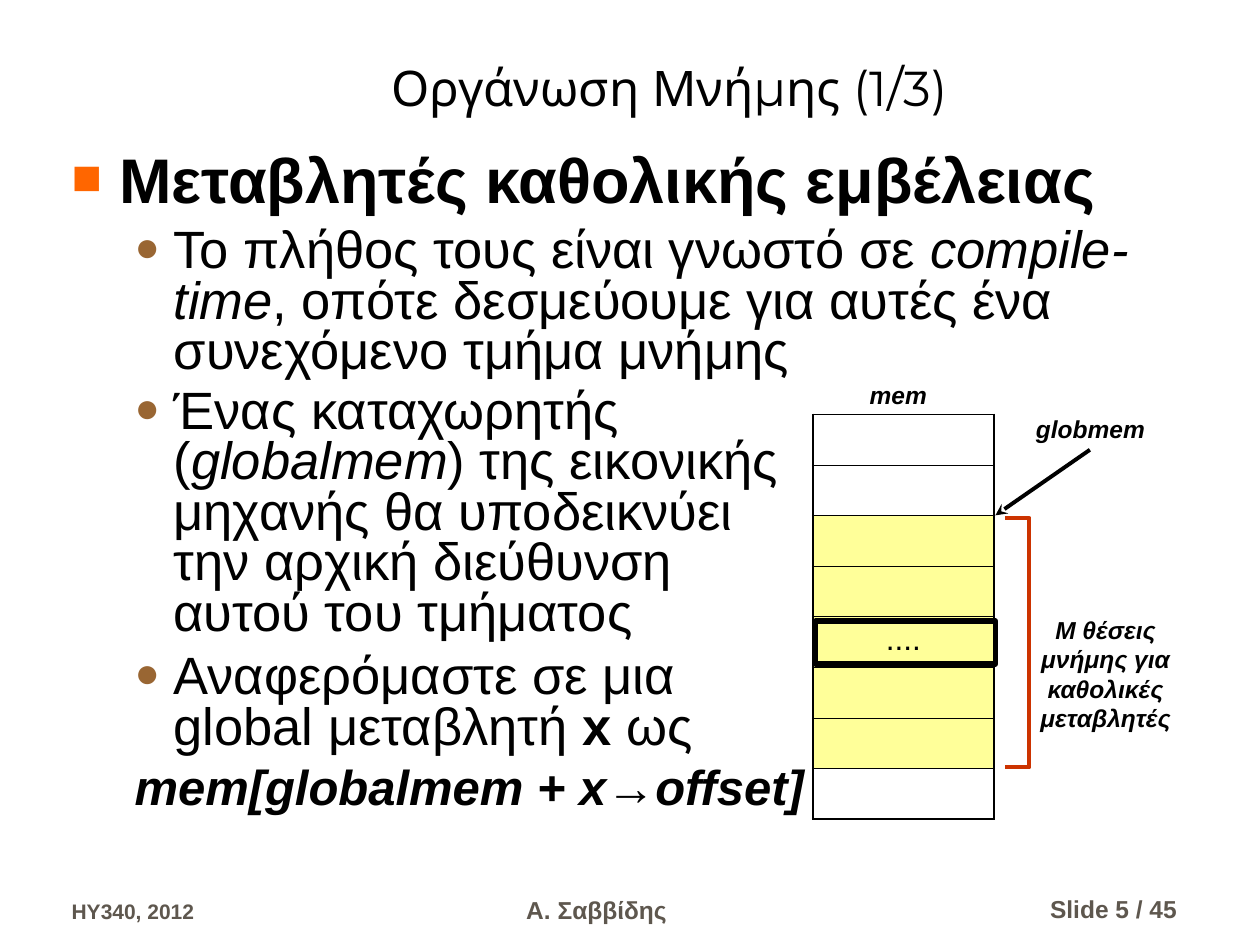
from dataclasses import dataclass

from lxml import etree
from pptx import Presentation
from pptx.dml.color import RGBColor
from pptx.enum.shapes import MSO_CONNECTOR, MSO_SHAPE
from pptx.enum.text import MSO_ANCHOR, PP_ALIGN
from pptx.oxml.ns import qn
from pptx.util import Inches, Pt

LEFT, CENTER, RIGHT = PP_ALIGN.LEFT, PP_ALIGN.CENTER, PP_ALIGN.RIGHT
TOP, BOTTOM = MSO_ANCHOR.TOP, MSO_ANCHOR.BOTTOM
STRAIGHT, RECTANGLE = MSO_CONNECTOR.STRAIGHT, MSO_SHAPE.RECTANGLE


@dataclass(frozen=True)
class Theme:
    """Colours, fonts and type sizes of the slide."""
    ink: str = "000000"
    paper: str = "FFFFFF"
    muted: str = "5E574E"
    cell: str = "FFFF99"
    bracket: str = "CC3300"
    square: str = "FF6600"
    dot: str = "996633"
    font: str = "Arial"
    title_font: str = "Montserrat"
    title: int = 28
    heading: int = 36
    body: int = 30
    code: int = 28
    dots: int = 18
    label: int = 14
    small: int = 12


THEME = Theme()


def add_run(p, text, size, color=THEME.ink, font=THEME.font, bold=False, italic=False):
    """Append one formatted run to a paragraph."""
    r = p.add_run()
    r.text = text
    r.font.size = Pt(size)
    r.font.name = font
    r.font.bold = bold
    r.font.italic = italic
    r.font.color.rgb = RGBColor.from_string(color)


def add_box(s, x, y, w, h, anchor=TOP, wrap=True):
    """Add an empty text box and return its text frame."""
    tf = s.shapes.add_textbox(Inches(x), Inches(y), Inches(w), Inches(h)).text_frame
    tf.word_wrap = wrap
    tf.vertical_anchor = anchor
    return tf


def add_label(s, box, text, size, align=CENTER, anchor=TOP, wrap=True, **style):
    """Add a text box holding a single run."""
    p = add_box(s, *box, anchor, wrap).paragraphs[0]
    p.alignment = align
    add_run(p, text, size, **style)


def set_bullet(p, char, color, margin, indent):
    """Give a paragraph a hanging indent and an optional coloured bullet."""
    pPr = p._p.get_or_add_pPr()
    pPr.set("marL", str(Inches(margin)))
    pPr.set("indent", str(Inches(indent)))
    if not char:
        etree.SubElement(pPr, qn("a:buNone"))
        return
    clr = etree.SubElement(pPr, qn("a:buClr"))
    etree.SubElement(clr, qn("a:srgbClr")).set("val", color)
    etree.SubElement(pPr, qn("a:buSzPct")).set("val", "80000")
    etree.SubElement(pPr, qn("a:buFont")).set("typeface", THEME.font)
    etree.SubElement(pPr, qn("a:buChar")).set("char", char)


def add_item(tf, runs, size, before=7.5, char="●", color=THEME.dot, margin=0.81, indent=-0.31):
    """Add one outline paragraph from (text, style) pairs."""
    first = not tf.paragraphs[0].runs
    p = tf.paragraphs[0] if first else tf.add_paragraph()
    p.line_spacing = 0.8
    p.space_before = Pt(0 if first else before)
    set_bullet(p, char, color, margin, indent)
    for text, style in runs:
        add_run(p, text, size, **style)


def set_borders(cell, **widths):
    """Draw the left, right, top and bottom borders of a cell."""
    tcPr = cell._tc.get_or_add_tcPr()
    for i, side in enumerate(("lnL", "lnR", "lnT", "lnB")):
        ln = etree.Element(qn("a:" + side), w=str(Pt(widths[side])))
        fill = etree.SubElement(ln, qn("a:solidFill"))
        etree.SubElement(fill, qn("a:srgbClr")).set("val", THEME.ink)
        tcPr.insert(i, ln)


def add_memory(s, x, y, w, h, fills, dots_row):
    """Add the one-column table of memory cells."""
    n = len(fills)
    table = s.shapes.add_table(n, 1, Inches(x), Inches(y), Inches(w), Inches(h)).table
    table.first_row = table.horz_banding = False
    for i, color in enumerate(fills):
        cell = table.cell(i, 0)
        cell.margin_top = cell.margin_bottom = Inches(0.04)
        cell.fill.solid()
        cell.fill.fore_color.rgb = RGBColor.from_string(color)
        set_borders(cell, lnL=1.08, lnR=1.08, lnT=1.08 if i == 0 else 0.45,
                    lnB=1.08 if i == n - 1 else 0.45)
    p = table.cell(dots_row, 0).text_frame.paragraphs[0]
    p.alignment = CENTER
    add_run(p, "....", THEME.dots)


def set_outline(sp, color, width):
    """Set the line colour and width of a shape."""
    sp.line.color.rgb = RGBColor.from_string(color)
    sp.line.width = Pt(width)


def add_arrow(s, x1, y1, x2, y2):
    """Add a straight arrow with a stealth head at its end."""
    sp = s.shapes.add_connector(STRAIGHT, Inches(x1), Inches(y1), Inches(x2), Inches(y2))
    set_outline(sp, THEME.ink, 2.25)
    etree.SubElement(sp.line._get_or_add_ln(), qn("a:tailEnd")).set("type", "stealth")
    etree.SubElement(sp._element.spPr, qn("a:effectLst"))


def add_bracket(s, x, y, w, h):
    """Add a right-hand square bracket."""
    fb = s.shapes.build_freeform(Inches(x), Inches(y))
    corners = [(x + w, y), (x + w, y + h), (x, y + h)]
    fb.add_line_segments([(Inches(a), Inches(b)) for a, b in corners], close=False)
    sp = fb.convert_to_shape()
    sp.shadow.inherit = False
    sp.fill.background()
    set_outline(sp, THEME.bracket, 2.25)


def add_frame(s, x, y, w, h):
    """Add an unfilled rectangle with a heavy outline."""
    sp = s.shapes.add_shape(RECTANGLE, Inches(x), Inches(y), Inches(w), Inches(h))
    sp.shadow.inherit = False
    sp.fill.background()
    set_outline(sp, THEME.ink, 3)


def add_outline(s):
    """Add the heading and its bulleted points."""
    bold, italic = {"bold": True}, {"italic": True}
    tf = add_box(s, 0.47, 1.18, 9.11, 2.04)
    add_item(tf, [("Μεταβλητές καθολικής εμβέλειας", bold)], THEME.heading,
             char="■", color=THEME.square, margin=0.38, indent=-0.38)
    add_item(tf, [("Το πλήθος τους είναι γνωστό σε ", {}), ("compile-time", italic),
                  (", οπότε δεσμεύουμε για αυτές ένα συνεχόμενο τμήμα μνήμης", {})], THEME.body)
    tf = add_box(s, 0.47, 3.04, 6.03, 3.66)
    add_item(tf, [("Ένας καταχωρητής (", {}), ("globalmem", italic),
                  (") της εικονικής μηχανής θα υποδεικνύει την αρχική διεύθυνση "
                   "αυτού του τμήματος", {})], THEME.body)
    add_item(tf, [("Αναφερόμαστε σε μια global μεταβλητή ", {}), ("x ", bold), ("ως", {})],
             THEME.body)
    add_item(tf, [("mem[globalmem + x→offset]", {**bold, **italic})], THEME.code,
             before=7, char=None)


def add_diagram(s):
    """Add the memory diagram with its labels."""
    style = {"bold": True, "italic": True}
    fills = [THEME.paper] * 2 + [THEME.cell] * 5 + [THEME.paper]
    add_memory(s, 6.45, 3.29, 1.44, 3.21, fills, dots_row=4)
    add_label(s, (6.8, 2.97, 0.66, 0.33), "mem", THEME.label, wrap=False, **style)
    add_label(s, (8.12, 3.24, 1.07, 0.33), "globmem", THEME.label, wrap=False, **style)
    add_arrow(s, 8.65, 3.57, 7.9, 4.09)
    add_bracket(s, 7.98, 4.11, 0.19, 1.98)
    add_label(s, (8.09, 4.83, 1.37, 1.04), "M θέσεις μνήμης για καθολικές μεταβλητές",
              THEME.label, **style)
    add_frame(s, 6.47, 4.93, 1.43, 0.34)


def add_footer(s):
    """Add the course, slide number and author."""
    style = {"anchor": BOTTOM, "color": THEME.muted, "bold": True}
    add_label(s, (0.47, 6.88, 2.19, 0.5), "HY340, 2012", THEME.small, LEFT, **style)
    add_label(s, (7.36, 6.88, 2.08, 0.5), "Slide 5 / 45", THEME.label, RIGHT, **style)
    add_label(s, (3.15, 6.89, 3.17, 0.5), "Α. Σαββίδης", THEME.label, **style)


def main():
    """Build the slide and save it."""
    prs = Presentation()
    prs.slide_width, prs.slide_height = Inches(10), Inches(7.5)
    s = prs.slides.add_slide(prs.slide_layouts[6])
    add_label(s, (1.08, 0.14, 8.47, 0.83), "Οργάνωση Μνήμης (1/3)", THEME.title,
              anchor=BOTTOM, font=THEME.title_font)
    add_diagram(s)
    add_outline(s)
    add_footer(s)
    prs.save("out.pptx")


if __name__ == "__main__":
    main()
